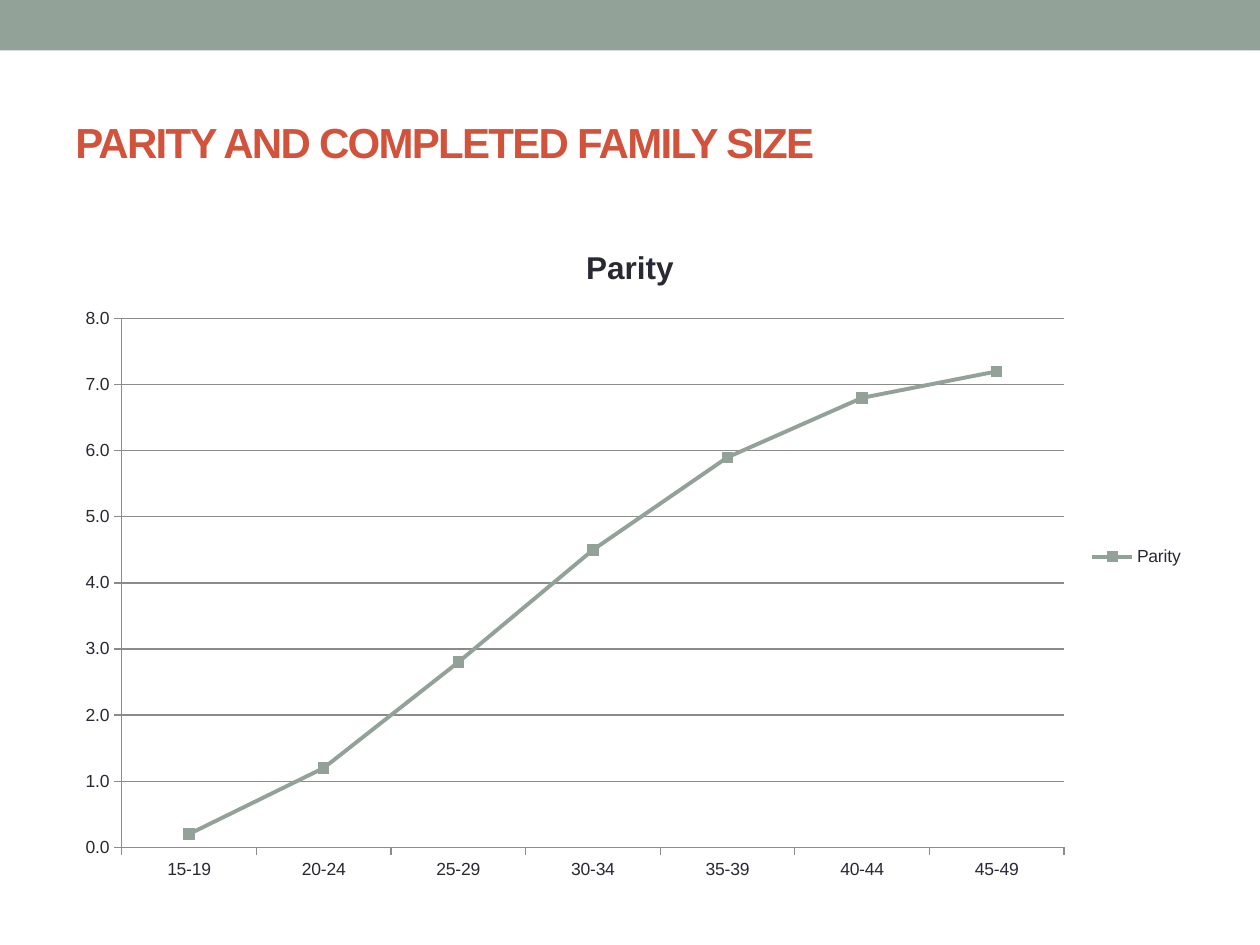
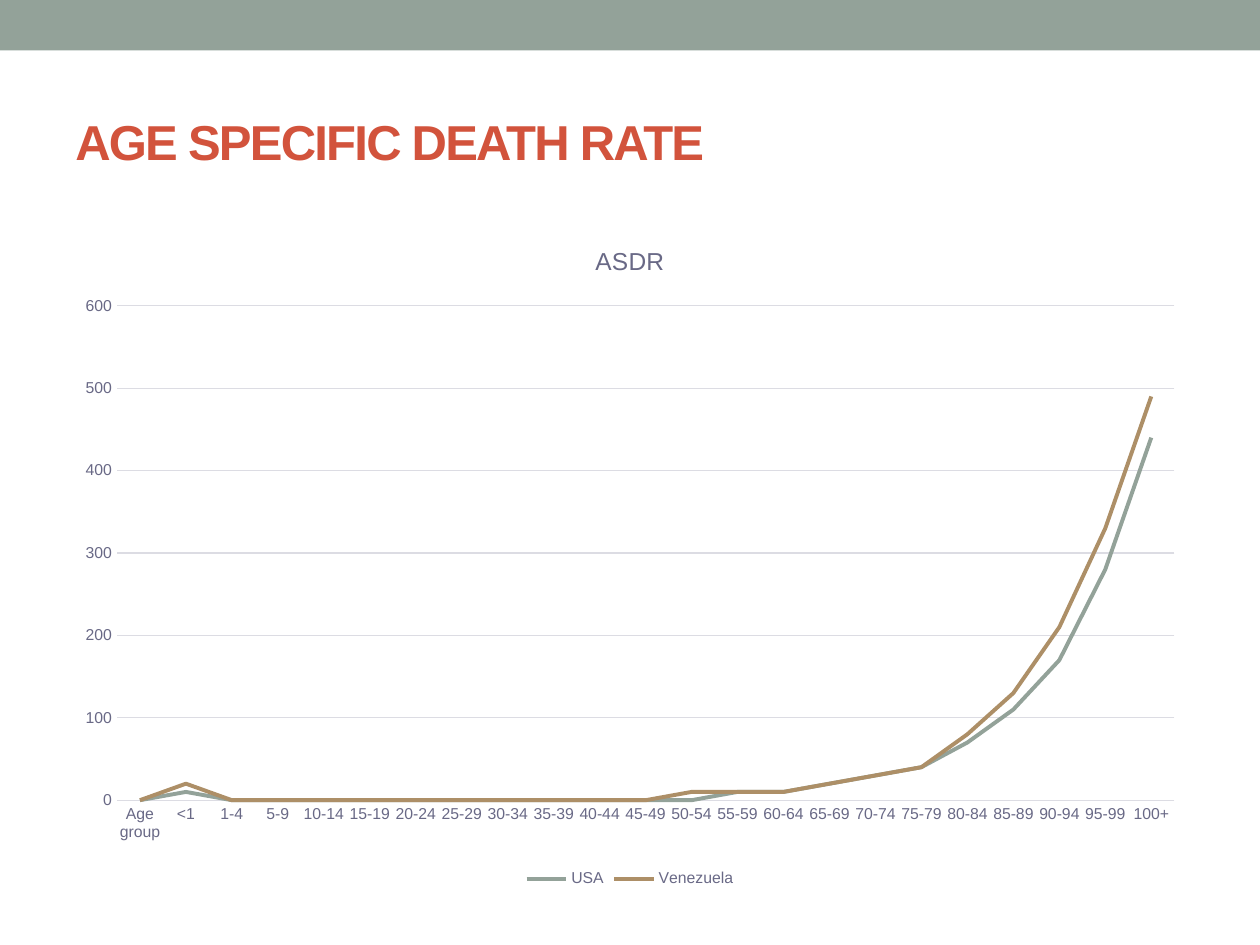
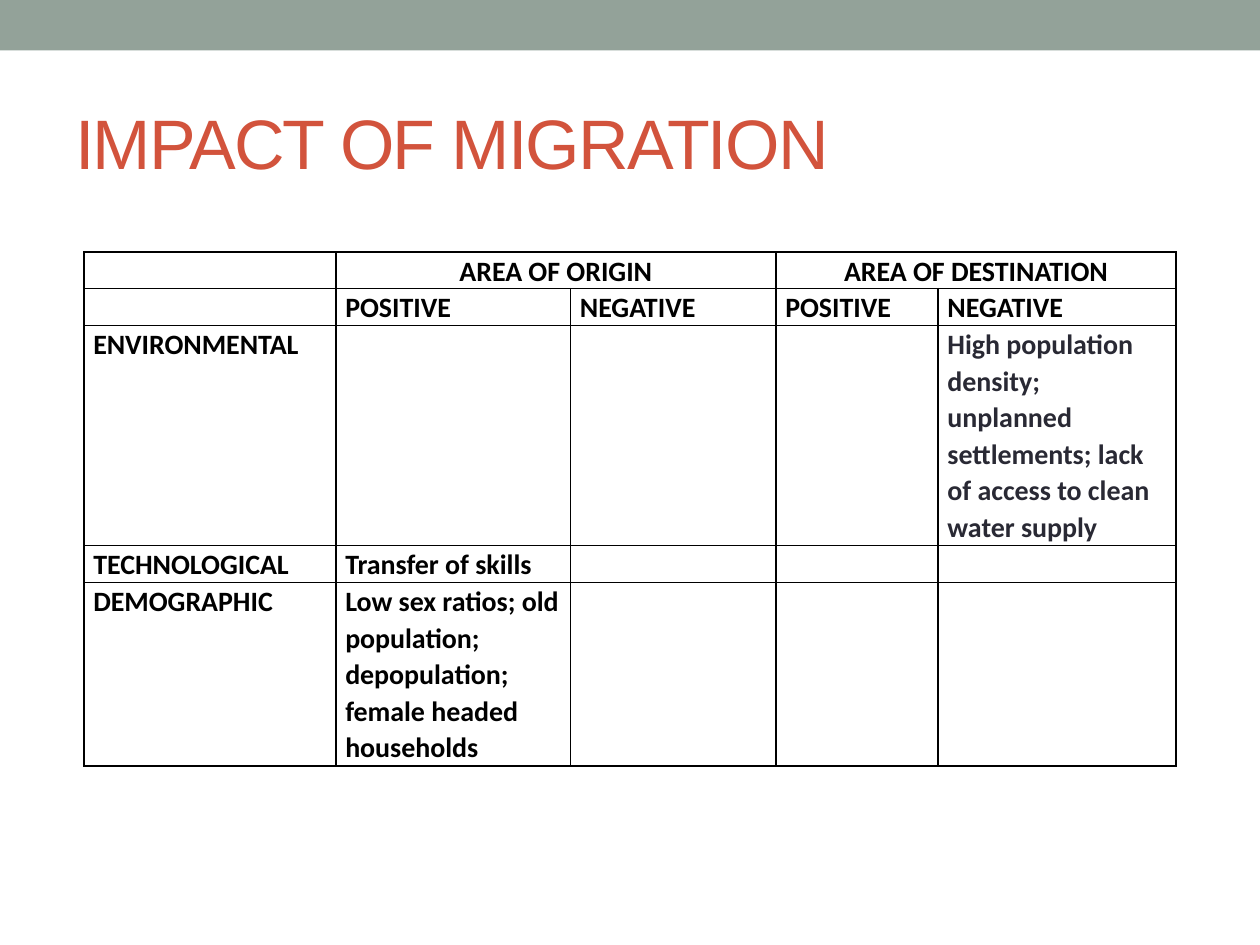
from lxml import etree
from pptx import Presentation
from pptx.chart.data import CategoryChartData
from pptx.dml.color import RGBColor
from pptx.enum.chart import XL_CHART_TYPE, XL_LEGEND_POSITION, XL_MARKER_STYLE, XL_TICK_MARK
from pptx.enum.shapes import MSO_SHAPE
from pptx.enum.text import MSO_ANCHOR, PP_ALIGN
from pptx.oxml.ns import qn
from pptx.util import Cm, Pt

SAGE = RGBColor(0x93, 0xA2, 0x99)
TAN = RGBColor(0xAD, 0x8F, 0x67)
RED = RGBColor(0xD2, 0x53, 0x3C)
INK = RGBColor(0x29, 0x29, 0x34)
SLATE = RGBColor(0x69, 0x69, 0x86)
GRAY = RGBColor(0x8B, 0x8B, 0x8B)
PALE = RGBColor(0xDC, 0xDC, 0xE3)
BLACK = RGBColor(0, 0, 0)


def set_attrs(obj, formats):
    for name, value in formats.items():
        setattr(obj, name, value)


def set_font(font, color, **formats):
    set_attrs(font, formats)
    font.color.rgb = color


def set_line(line, color, width):
    line.color.rgb = color
    line.width = Pt(width)


class Deck:
    """Holds the shared style and the current slide."""

    font = "Arial"
    table_font = {"name": "Calibri", "size": Pt(16), "bold": True}
    chart_box = Cm(1.27), Cm(4.45), Cm(22.86), Cm(13.55)

    def __init__(self):
        self.prs = Presentation()
        set_attrs(self.prs, {"slide_width": Cm(25.4), "slide_height": Cm(19.05)})

    def slide(self, title, size, bold=True):
        self.s = self.prs.slides.add_slide(self.prs.slide_layouts[6])
        self.band()
        self.title(title, size, bold)

    def band(self):
        sp = self.s.shapes.add_shape(MSO_SHAPE.RECTANGLE, 0, 0, self.prs.slide_width, Cm(1.02))
        sp.shadow.inherit = False
        sp.fill.solid()
        sp.fill.fore_color.rgb = SAGE
        sp.line.fill.background()

    def title(self, text, size, bold):
        sp = self.s.shapes.add_textbox(Cm(1.27), Cm(1.48), Cm(22.86), Cm(2.74))
        tf = sp.text_frame
        set_attrs(tf, {"word_wrap": True, "vertical_anchor": MSO_ANCHOR.MIDDLE})
        r = tf.paragraphs[0].add_run()
        r.text = text
        set_font(r.font, RED, name=self.font, size=Pt(size), bold=bold)
        r.font._element.set("spc", "-100")

    def line_chart(self, kind, title, cats, series, color, size, title_size, title_bold,
                   grid, tick, legend_at, axis_line=True, number_format="General"):
        data = CategoryChartData(number_format=number_format)
        data.categories = cats
        for name, values, _ in series:
            data.add_series(name, values)
        chart = self.s.shapes.add_chart(kind, *self.chart_box, data).chart
        set_font(chart.font, color, name=self.font, size=Pt(size))

        # Title and legend
        chart.has_title = True
        p = chart.chart_title.text_frame.paragraphs[0]
        r = p.add_run()
        r.text = title
        set_font(r.font, color, name=self.font, size=Pt(title_size), bold=title_bold)
        chart.has_legend = True
        set_attrs(chart.legend, {"position": legend_at, "include_in_layout": False})

        # Axes
        for axis in (chart.category_axis, chart.value_axis):
            set_attrs(axis, {"major_tick_mark": tick, "minor_tick_mark": XL_TICK_MARK.NONE})
            set_line(axis.format.line, grid, 0.75)
        axis = chart.value_axis
        set_attrs(axis.tick_labels, {"number_format": number_format,
                                     "number_format_is_linked": False})
        axis.has_major_gridlines = True
        set_line(axis.major_gridlines.format.line, grid, 0.75)
        if not axis_line:
            axis.format.line.fill.background()

        # Series
        plot = chart.plots[0]
        plot.vary_by_categories = False
        for ser, (_, _, ser_color) in zip(plot.series, series):
            ser.smooth = False
            set_line(ser.format.line, ser_color, 2.25)
            if kind == XL_CHART_TYPE.LINE:
                ser.marker.style = XL_MARKER_STYLE.NONE
                continue
            set_attrs(ser.marker, {"style": XL_MARKER_STYLE.SQUARE, "size": 6})
            ser.marker.format.fill.solid()
            ser.marker.format.fill.fore_color.rgb = ser_color
            ser.marker.format.line.color.rgb = ser_color

    def table(self, left, top, widths, heights, rows, merges, colors):
        frame = self.s.shapes.add_table(len(rows), len(widths), left, top,
                                        sum(widths), sum(heights))
        tbl = frame.table
        set_attrs(tbl, {"first_row": False, "horz_banding": False})
        for col, width in zip(tbl.columns, widths):
            col.width = width
        for row, height in zip(tbl.rows, heights):
            row.height = height
        for i, row in enumerate(rows):
            for j, text in enumerate(row):
                self.cell(tbl.cell(i, j), text, colors.get((i, j), BLACK))
        for i, first, last in merges:
            tbl.cell(i, first).merge(tbl.cell(i, last))
            tbl.cell(i, first).text_frame.paragraphs[0].alignment = PP_ALIGN.CENTER

    def cell(self, cell, text, color):
        set_attrs(cell, {"margin_left": Cm(0.19), "margin_right": Cm(0.19),
                         "margin_top": 0, "margin_bottom": 0})
        self.borders(cell)
        cell.fill.background()
        p = cell.text_frame.paragraphs[0]
        set_attrs(p, {"line_spacing": 1.07, "space_after": Pt(8)})
        if text:
            r = p.add_run()
            r.text = text
            set_font(r.font, color, **self.table_font)
        else:
            # Keeps an empty row as low as a row of text
            etree.SubElement(p._p, qn("a:endParaRPr"), sz="1600")

    def borders(self, cell):
        tc_pr = cell._tc.get_or_add_tcPr()
        for side in "LRTB":
            ln = etree.SubElement(tc_pr, qn(f"a:ln{side}"), w=str(Pt(1)))
            fill = etree.SubElement(ln, qn("a:solidFill"))
            etree.SubElement(fill, qn("a:srgbClr"), val=str(BLACK))


def age_groups(first, last):
    return [f"{age}-{age + 4}" for age in range(first, last + 1, 5)]


def main():
    deck = Deck()

    # Parity
    deck.slide("PARITY AND COMPLETED FAMILY SIZE", 24)
    deck.line_chart(
        XL_CHART_TYPE.LINE_MARKERS_STACKED, "Parity", age_groups(15, 45),
        [("Parity", [0.2, 1.2, 2.8, 4.5, 5.9, 6.8, 7.2], SAGE)],
        color=INK, size=10, title_size=18, title_bold=True, grid=GRAY,
        tick=XL_TICK_MARK.OUTSIDE, legend_at=XL_LEGEND_POSITION.RIGHT, number_format="0.0")

    # Death rates
    deck.slide("AGE SPECIFIC DEATH RATE", 28)
    usa = [0, 10] + [0] * 11 + [10, 10, 20, 30, 40, 70, 110, 170, 280, 440]
    venezuela = [0, 20] + [0] * 10 + [10, 10, 10, 20, 30, 40, 80, 130, 210, 330, 490]
    deck.line_chart(
        XL_CHART_TYPE.LINE, "ASDR", ["Age group", "<1", "1-4", *age_groups(5, 95), "100+"],
        [("USA", usa, SAGE), ("Venezuela", venezuela, TAN)],
        color=SLATE, size=9, title_size=14, title_bold=False, grid=PALE,
        tick=XL_TICK_MARK.NONE, legend_at=XL_LEGEND_POSITION.BOTTOM, axis_line=False)

    # Migration
    deck.slide("IMPACT OF MIGRATION", 40, bold=False)
    rows = [
        ["", "AREA OF ORIGIN", "", "AREA OF DESTINATION", ""],
        ["", "POSITIVE", "NEGATIVE", "POSITIVE", "NEGATIVE"],
        ["ENVIRONMENTAL", "", "", "", "High population density; unplanned settlements; "
         "lack of access to clean water supply"],
        ["TECHNOLOGICAL", "Transfer of skills", "", "", ""],
        ["DEMOGRAPHIC", "Low sex ratios; old population; depopulation; "
         "female headed households", "", "", ""],
    ]
    line_counts = [1, 1, 6, 1, 5]
    deck.table(Cm(1.69), Cm(5.08), [Cm(w) for w in (5.08, 4.73, 4.14, 3.27, 4.8)],
               [Cm(0.74 * n) for n in line_counts], rows,
               merges=[(0, 1, 2), (0, 3, 4)], colors={(2, 4): INK})

    deck.prs.save("out.pptx")


if __name__ == "__main__":
    main()
